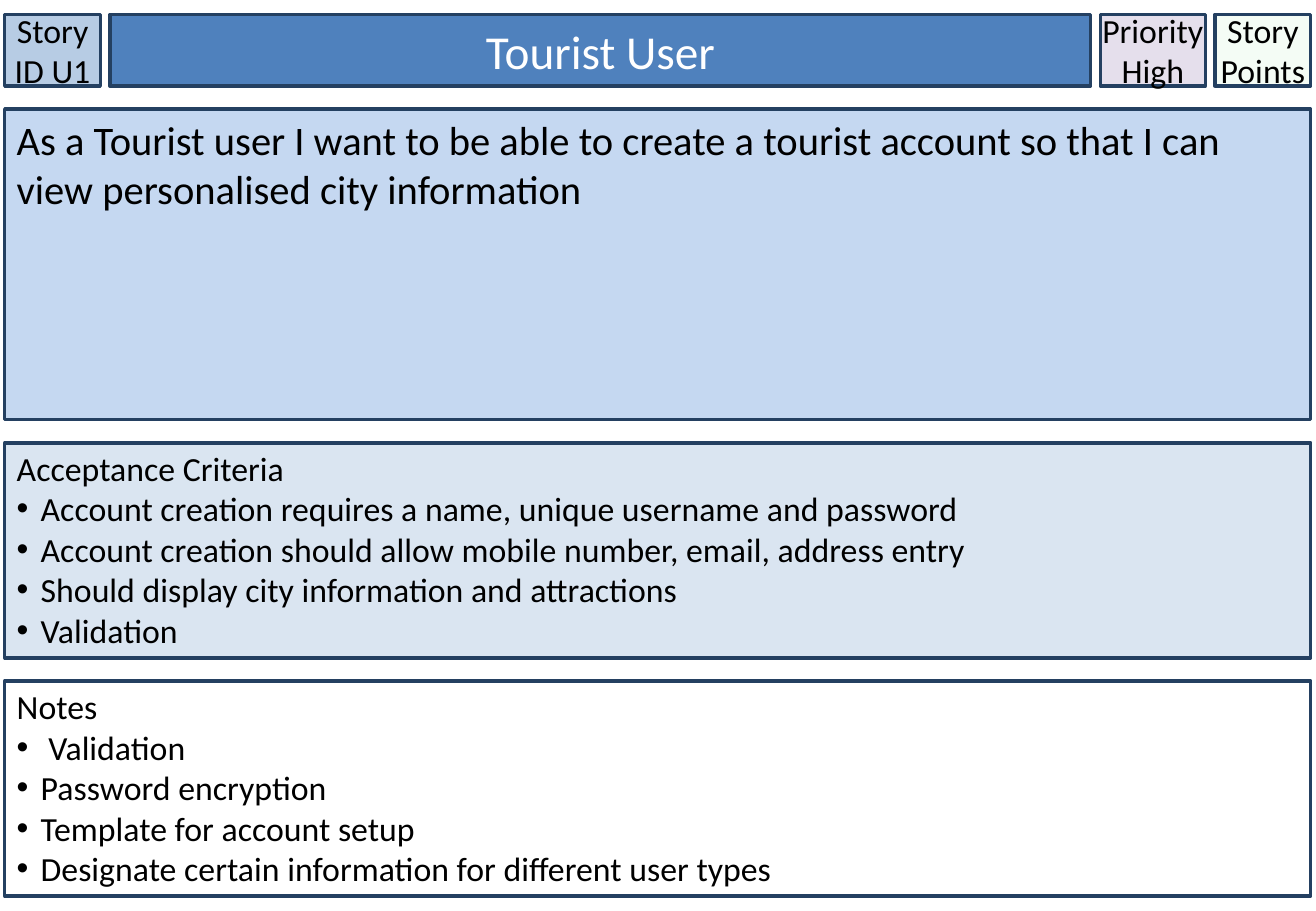
from dataclasses import dataclass
from itertools import accumulate

from lxml.etree import SubElement
from pptx import Presentation
from pptx.dml.color import RGBColor
from pptx.enum.shapes import MSO_SHAPE
from pptx.enum.text import MSO_ANCHOR, MSO_AUTO_SIZE, PP_ALIGN
from pptx.oxml.ns import qn
from pptx.util import Cm, Pt

FONT = "Calibri"
BORDER = "244061"
BLACK = "000000"
LEFT, TOP, CARD_WIDTH = 0.1, 0.3, 27.3
BULLET_INDENT = 0.5

# Header columns and card rows, each set apart by an equal gap
COLUMN_GAP, ROW_GAP = 0.2, 0.48
COLUMN_WIDTHS = [2.0, 20.5, 2.2, 2.0]
ROW_HEIGHTS = [1.5, 6.5, 4.5, 4.5]


def starts(first: float, sizes: list[float], gap: float) -> list[float]:
    return list(accumulate((size + gap for size in sizes[:-1]), initial=first))


COLUMN_LEFTS = starts(LEFT, COLUMN_WIDTHS, COLUMN_GAP)
ROW_TOPS = starts(TOP, ROW_HEIGHTS, ROW_GAP)


@dataclass
class Panel:
    row: int
    fill: str
    lines: list[str]
    column: int | None = None  # None spans the full card width
    size: int = 20
    color: str = BLACK
    side_inset: float = 0.25
    top_inset: float = 0.13
    opacity: int = 100
    placeholder: int | None = None
    bulleted: bool = False  # bullets on every line after the heading


HEADER = [
    Panel(0, "B7CCE4", ["Story ID U1"], column=0, side_inset=0),
    Panel(0, "4F81BD", ["Tourist User"], column=1, size=28, color="FFFFFF",
          placeholder=0),
    Panel(0, "E5DFEC", ["Priority", "High"], column=2, side_inset=0),
    Panel(0, "CCF0CD", ["Story Points"], column=3, side_inset=0, opacity=20),
]
CARDS = [
    Panel(1, "C5D8F1", ["As a Tourist user I want to be able to create a tourist "
                        "account so that I can view personalised city information"],
          size=24),
    Panel(2, "DAE5F1", [
        "Acceptance Criteria",
        "Account creation requires a name, unique username and password",
        "Account creation should allow mobile number, email, address entry",
        "Should display city information and attractions",
        "Validation",
    ], top_inset=0.1, placeholder=1, bulleted=True),
    Panel(3, "FFFFFF", [
        "Notes",
        " Validation",
        "Password encryption",
        "Template for account setup",
        "Designate certain information for different user types",
    ], top_inset=0.1, placeholder=2, bulleted=True),
]


def rgb(value: str) -> RGBColor:
    return RGBColor.from_string(value)


def set_bullet(paragraph, bulleted: bool) -> None:
    properties = paragraph._p.get_or_add_pPr()
    indent = Cm(BULLET_INDENT) if bulleted else 0
    properties.set("marL", str(indent))
    properties.set("indent", str(-indent))
    if bulleted:
        color = SubElement(properties, qn("a:buClr"))
        SubElement(color, qn("a:srgbClr"), val=BLACK)
        SubElement(properties, qn("a:buFont"), typeface="Arial")
        SubElement(properties, qn("a:buChar"), char="•")
    else:
        SubElement(properties, qn("a:buNone"))


def write_text(shape, panel: Panel) -> None:
    in_header = panel.column is not None
    frame = shape.text_frame
    frame.word_wrap = True
    frame.auto_size = MSO_AUTO_SIZE.NONE
    frame.vertical_anchor = MSO_ANCHOR.MIDDLE if in_header else MSO_ANCHOR.TOP
    frame.margin_left = frame.margin_right = Cm(panel.side_inset)
    frame.margin_top, frame.margin_bottom = Cm(panel.top_inset), Cm(0.13)
    for index, line in enumerate(panel.lines):
        paragraph = frame.add_paragraph() if index else frame.paragraphs[0]
        paragraph.alignment = PP_ALIGN.CENTER if in_header else PP_ALIGN.LEFT
        paragraph.space_before = Pt(0)
        set_bullet(paragraph, panel.bulleted and index > 0)
        run = paragraph.add_run()
        run.text = line
        run.font.name = FONT
        run.font.size = Pt(panel.size)
        run.font.color.rgb = rgb(panel.color)


def draw_panel(slide, panel: Panel) -> None:
    if panel.column is None:
        left, width = LEFT, CARD_WIDTH
    else:
        left, width = COLUMN_LEFTS[panel.column], COLUMN_WIDTHS[panel.column]
    box = Cm(left), Cm(ROW_TOPS[panel.row]), Cm(width), Cm(ROW_HEIGHTS[panel.row])
    if panel.placeholder is None:
        shape = slide.shapes.add_shape(MSO_SHAPE.RECTANGLE, *box)
        shape.shadow.inherit = False
    else:
        shape = slide.placeholders[panel.placeholder]
        shape.left, shape.top, shape.width, shape.height = box
    shape.fill.solid()
    shape.fill.fore_color.rgb = rgb(panel.fill)
    if panel.opacity < 100:
        color = shape._element.spPr.find(qn("a:solidFill")).find(qn("a:srgbClr"))
        SubElement(color, qn("a:alpha"), val=str(panel.opacity * 1000))
    shape.line.color.rgb = rgb(BORDER)
    shape.line.width = Pt(2)
    write_text(shape, panel)


def main() -> None:
    presentation = Presentation()
    presentation.slide_width, presentation.slide_height = Cm(27.51), Cm(19.05)
    two_content = presentation.slide_layouts[3]
    slide = presentation.slides.add_slide(two_content)
    for panel in HEADER + CARDS:
        draw_panel(slide, panel)
    presentation.save("out.pptx")


if __name__ == "__main__":
    main()
